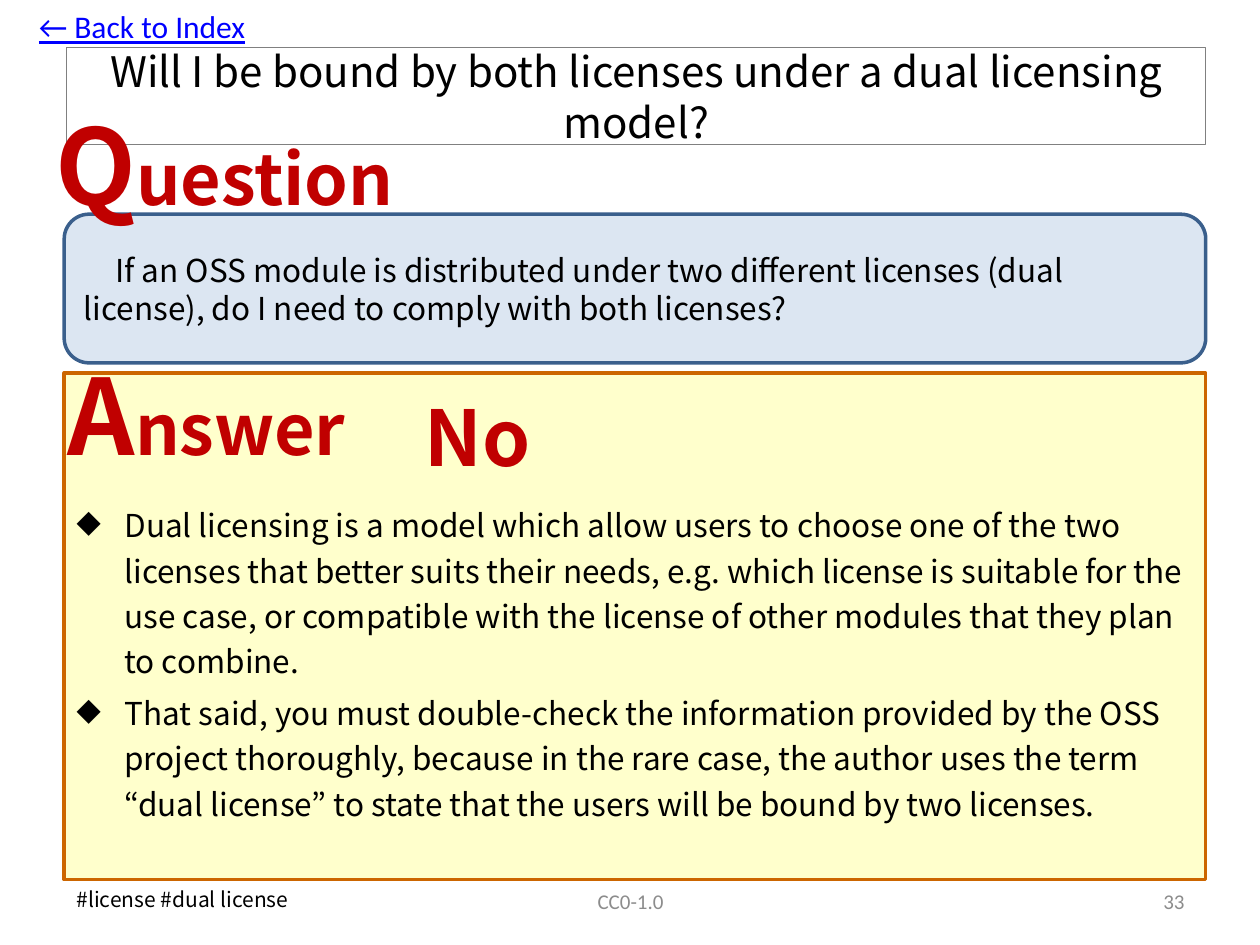
"""Build the dual licensing question and answer slide."""
from lxml import etree
from pptx import Presentation
from pptx.dml.color import RGBColor
from pptx.enum import shapes, text
from pptx.oxml.ns import qn
from pptx.util import Inches, Pt

BLACK = RGBColor(0x00, 0x00, 0x00)
GRAY = RGBColor(0x8C, 0x8C, 0x8C)
RED = RGBColor(0xC0, 0x00, 0x00)
BLUE = RGBColor(0x00, 0x00, 0xFF)
WHITE = RGBColor(0xFF, 0xFF, 0xFF)
TITLE_LINE = RGBColor(0x80, 0x80, 0x80)
QUESTION_FILL = RGBColor(0xDC, 0xE6, 0xF2)
QUESTION_LINE = RGBColor(0x3A, 0x5F, 0x8C)
ANSWER_FILL = RGBColor(0xFF, 0xFF, 0xCC)
ANSWER_LINE = RGBColor(0xCC, 0x66, 0x00)
NOTO = "Noto Sans CJK JP"
CALIBRI = "Calibri"
LEFT, CENTER, RIGHT = text.PP_ALIGN.LEFT, text.PP_ALIGN.CENTER, text.PP_ALIGN.RIGHT
TOP, MIDDLE = text.MSO_ANCHOR.TOP, text.MSO_ANCHOR.MIDDLE


def add_panel(kind, box, fill, line, width):
    sp = s.shapes.add_shape(kind, *map(Inches, box))
    sp.shadow.inherit = False
    sp.fill.solid()
    sp.fill.fore_color.rgb = fill
    sp.line.color.rgb = line
    sp.line.width = Pt(width)
    return sp


def write(sp, runs, font=NOTO, color=BLACK, bold=False, align=LEFT, anchor=TOP, wrap=True):
    tf = sp.text_frame
    tf.word_wrap = wrap
    tf.vertical_anchor = anchor
    p = tf.paragraphs[0]
    p.alignment = align
    for content, size in runs:
        r = p.add_run()
        r.text = content
        r.font.name = font
        r.font.size = Pt(size)
        r.font.bold = bold
        r.font.color.rgb = color
    return p


prs = Presentation()
prs.slide_width, prs.slide_height = Inches(10), Inches(7.5)
s = prs.slides.add_slide(prs.slide_layouts[6])

add_panel(shapes.MSO_SHAPE.RECTANGLE, (0.51, 2.96, 9.06, 4.02), ANSWER_FILL, ANSWER_LINE, 2)

title = add_panel(shapes.MSO_SHAPE.RECTANGLE, (0.53, 0.38, 9.04, 0.77), WHITE, TITLE_LINE, 0.75)
title.fill.background()
write(title, [("Will I be bound by both licenses under a dual licensing model?", 24)],
      align=CENTER, anchor=MIDDLE)

answers = [
    "Dual licensing is a model which allow users to choose one of the two licenses that "
    "better suits their needs, e.g. which license is suitable for the use case, or compatible "
    "with the license of other modules that they plan to combine.",
    "That said, you must double-check the information provided by the OSS project thoroughly, "
    "because in the rare case, the author uses the term “dual license” to state that the users "
    "will be bound by two licenses.",
]
body = s.shapes.add_textbox(Inches(0.51), Inches(3.91), Inches(9.07), Inches(3.03))
tf = body.text_frame
tf.word_wrap = True
tf.text = "\n".join(answers)
for i, p in enumerate(tf.paragraphs):
    pPr = p._p.get_or_add_pPr()
    pPr.set("marL", str(Inches(0.38)))
    pPr.set("indent", str(-Inches(0.38)))
    etree.SubElement(pPr, qn("a:buChar")).set("char", "◆")
    p.line_spacing = 1.2
    p.space_before = Pt(3.6 if i else 0)
    r = p.runs[0]
    r.font.name = NOTO
    r.font.size = Pt(18)
    r.font.color.rgb = BLACK

question = add_panel(shapes.MSO_SHAPE.ROUNDED_RECTANGLE, (0.51, 1.7, 9.06, 1.18),
                     QUESTION_FILL, QUESTION_LINE, 2)
write(question, [("　If an OSS module is distributed under two different licenses (dual license), "
                  "do I need to comply with both licenses?", 18)], anchor=MIDDLE)

heading = dict(color=RED, bold=True)
footer = dict(font=CALIBRI, color=GRAY, anchor=MIDDLE)
labels = [
    ((0.34, 0.75, 3.07, 1.11), [("Q", 60), ("uestion", 40)], dict(heading, wrap=False)),
    ((0.44, 2.73, 2.63, 1.11), [("A", 60), ("nswer", 40)], dict(heading, wrap=False)),
    ((3.27, 3.04, 2.13, 0.84), [("No", 44)], heading),
    ((3.42, 6.95, 3.17, 0.4), [("CC0-1.0", 12)], dict(footer, align=CENTER)),
    ((0.51, 6.99, 2.03, 0.3), [("#license #dual license", 12)], dict(wrap=False)),
    ((0.21, 0.01, 1.86, 0.4), [("← Back to Index", 18)],
     dict(font=CALIBRI, color=BLUE, wrap=False)),
    ((7.17, 6.95, 2.33, 0.4), [("33", 12)], dict(footer, align=RIGHT)),
]
for box, runs, style in labels:
    sp = s.shapes.add_textbox(*map(Inches, box))
    p = write(sp, runs, **style)
    p.runs[0].font.underline = style.get("color") == BLUE

prs.save("out.pptx")
